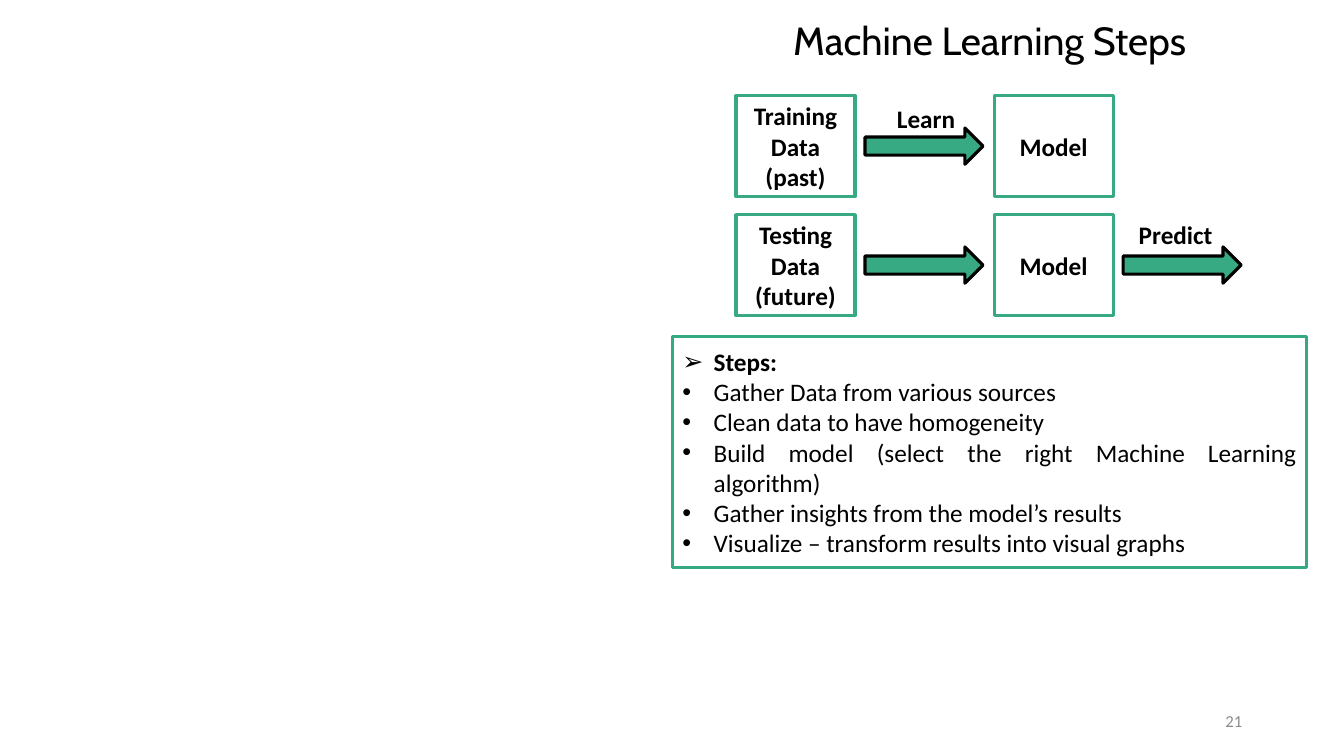
"""Build the Machine Learning Steps slide."""
from lxml import etree
from pptx import Presentation
from pptx.dml.color import RGBColor
from pptx.enum.shapes import MSO_SHAPE
from pptx.enum.text import MSO_ANCHOR, MSO_AUTO_SIZE, PP_ALIGN
from pptx.oxml.ns import qn
from pptx.util import Inches, Pt

BOX, ARROW, PANEL = MSO_SHAPE.FLOWCHART_PROCESS, MSO_SHAPE.RIGHT_ARROW, MSO_SHAPE.RECTANGLE
TOP, MIDDLE = MSO_ANCHOR.TOP, MSO_ANCHOR.MIDDLE
CENTER, RIGHT, JUSTIFY = PP_ALIGN.CENTER, PP_ALIGN.RIGHT, PP_ALIGN.JUSTIFY
NO_FIT = MSO_AUTO_SIZE.NONE

COLORS = {"green": "37AA84", "panel": "35A984", "white": "FFFFFF",
          "black": "000000", "gray": "8C8C8C"}
COLUMN_X, COLUMN_STEP = 7.3, 2.56
ROW_Y, ROW_STEP = 0.95, 1.18
ARROW_DX, ARROW_DY = 1.28, 0.32
STEPS = ["Gather Data from various sources",
         "Clean data to have homogeneity",
         "Build model (select the right Machine Learning algorithm)",
         "Gather insights from the model’s results",
         "Visualize – transform results into visual graphs"]


def color(name):
    """Return the named colour."""
    return RGBColor.from_string(COLORS[name])


def write(tf, text, size=18, bold=True, align=CENTER, anchor=TOP, font="Calibri", ink="black"):
    """Fill a text frame and format all its paragraphs."""
    tf.text = text
    tf.word_wrap = True
    tf.auto_size = NO_FIT
    tf.vertical_anchor = anchor
    for p in tf.paragraphs:
        p.alignment = align
        for r in p.runs:
            r.font.name, r.font.size, r.font.bold = font, Pt(size), bold
            r.font.color.rgb = color(ink)


def add_label(s, text, x, y, w, h, **style):
    """Add a text box."""
    tb = s.shapes.add_textbox(Inches(x), Inches(y), Inches(w), Inches(h))
    write(tb.text_frame, text, **style)


def add_block(s, kind, x, y, w, h, fill, line):
    """Add an outlined shape."""
    sp = s.shapes.add_shape(kind, Inches(x), Inches(y), Inches(w), Inches(h))
    sp.shadow.inherit = False
    sp.fill.solid()
    sp.fill.fore_color.rgb = color(fill)
    sp.line.color.rgb = color(line)
    sp.line.width = Pt(2.25)
    return sp


def add_box(s, text, column, row):
    """Add a process box in the grid."""
    sp = add_block(s, BOX, COLUMN_X + column * COLUMN_STEP, ROW_Y + row * ROW_STEP,
                   1.18, 1, "white", "green")
    write(sp.text_frame, text, anchor=MIDDLE)


def add_arrow(s, column, row):
    """Add the arrow that leaves a box of the grid."""
    add_block(s, ARROW, COLUMN_X + column * COLUMN_STEP + ARROW_DX,
              ROW_Y + row * ROW_STEP + ARROW_DY, 1.17, 0.36, "green", "black")


def set_bullet(p, char):
    """Give a paragraph a hanging bullet."""
    pPr = p._p.get_or_add_pPr()
    pPr.set("marL", str(Inches(0.31)))
    pPr.set("indent", str(-Inches(0.31)))
    etree.SubElement(pPr, qn("a:buFont")).set("typeface", "Arial")
    etree.SubElement(pPr, qn("a:buChar")).set("char", char)


def add_steps(s):
    """Add the framed list of steps."""
    sp = add_block(s, PANEL, 6.67, 3.34, 6.29, 2.29, "white", "panel")
    tf = sp.text_frame
    write(tf, "\n".join(["Steps:"] + STEPS), bold=False, align=JUSTIFY, anchor=MIDDLE)
    heading, *items = tf.paragraphs
    heading.runs[0].font.bold = True
    set_bullet(heading, "➢")
    for p in items:
        p.level = 1
        set_bullet(p, "•")


def add_title(s, text):
    """Place and format the title."""
    sp = s.shapes.title
    sp.left, sp.top, sp.width, sp.height = (Inches(v) for v in (6.67, 0.16, 6.29, 0.61))
    write(sp.text_frame, text, size=28, bold=False, font="Cabin")
    sp.text_frame.paragraphs[0].line_spacing = 0.9


def main():
    """Build and save the slide."""
    prs = Presentation()
    prs.slide_width, prs.slide_height = Inches(13.33), Inches(7.5)
    s = prs.slides.add_slide(prs.slide_layouts[5])
    add_title(s, "Machine Learning Steps")
    add_steps(s)
    for row, data in enumerate(["Training Data\n(past)", "Testing Data\n(future)"]):
        add_box(s, data, 0, row)
        add_arrow(s, 0, row)
        add_box(s, "Model", 1, row)
    add_arrow(s, 1, 1)
    add_label(s, "Learn", 8.6, 0.98, 1.17, 0.4)
    add_label(s, "Predict", 11.15, 2.13, 1.02, 0.4)
    add_label(s, "21", 9.42, 6.95, 3, 0.4, size=12, bold=False,
              align=RIGHT, anchor=MIDDLE, ink="gray")
    prs.save("out.pptx")


if __name__ == "__main__":
    main()
